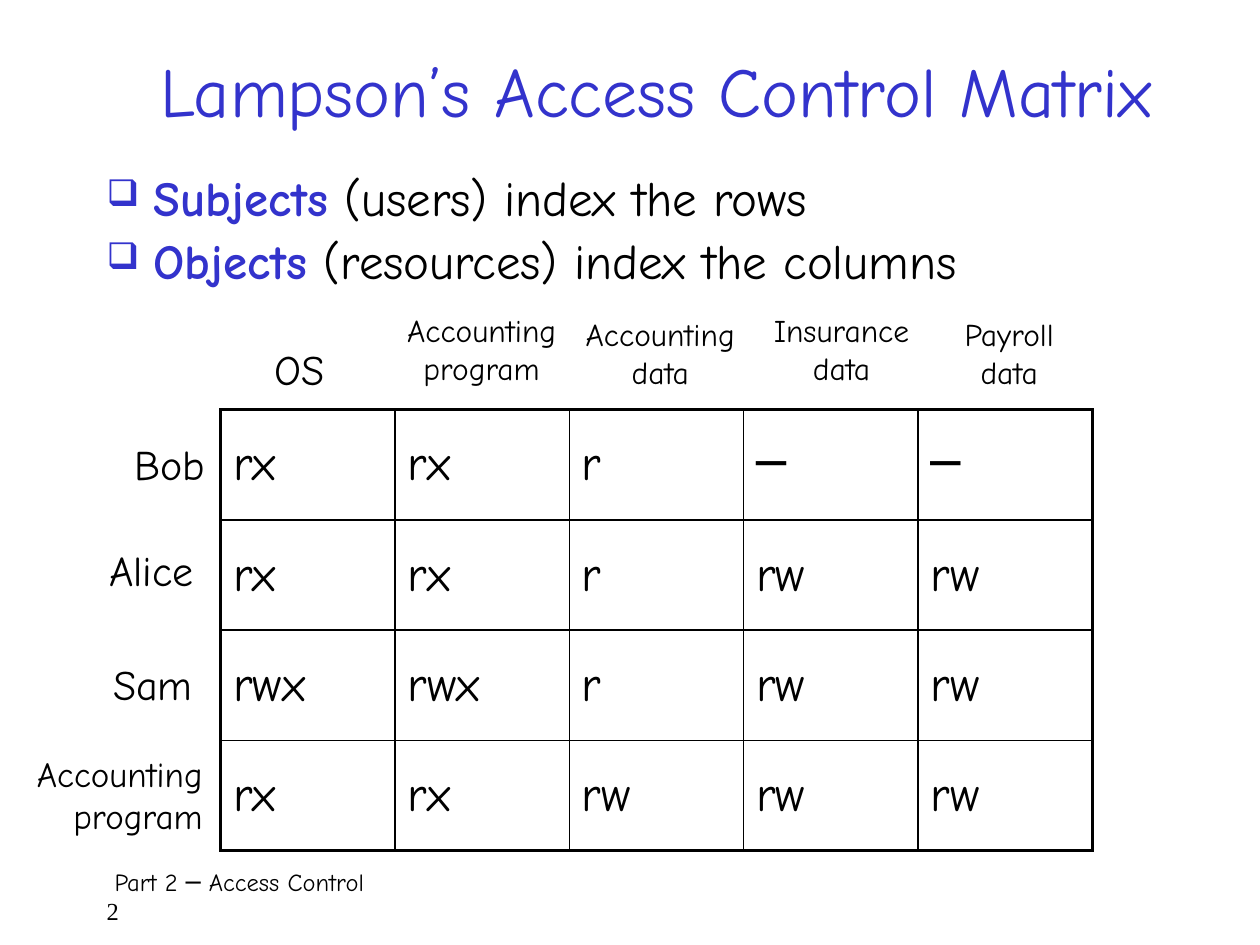
from lxml.etree import SubElement as Sub
from pptx import Presentation as Deck
from pptx.dml.color import RGBColor as Rgb
from pptx.enum.text import MSO_ANCHOR as Anchor, PP_ALIGN as Align
from pptx.oxml.ns import qn
from pptx.util import Cm, Pt

FONT = "Comic Neue"
BLACK = "000000"
BLUE = "3333CC"


def paint(font, size, color=BLACK, face=FONT):
    font.size = Pt(size)
    font.name = face
    font.color.rgb = Rgb.from_string(color)


class Page:
    def __init__(self, deck):
        self.slide = deck.slides.add_slide(deck.slide_layouts[5])

    def title(self, text, box):
        shape = self.slide.shapes.title
        shape.left, shape.top, shape.width, shape.height = map(Cm, box)
        frame = shape.text_frame
        frame.text = text
        frame.vertical_anchor = Anchor.MIDDLE
        frame.paragraphs[0].alignment = Align.CENTER
        paint(frame.paragraphs[0].font, 40, BLUE)

    def frame(self, box, wrap=True):
        frame = self.slide.shapes.add_textbox(*map(Cm, box)).text_frame
        frame.word_wrap = wrap
        return frame

    def label(self, text, box, size, align=Align.LEFT):
        frame = self.frame(box, False)
        frame.text = text
        for para in frame.paragraphs:
            para.alignment = align
            paint(para.font, size)

    def points(self, items, box):
        frame = self.frame(box)
        for i, (term, rest) in enumerate(items):
            para = frame.add_paragraph() if i else frame.paragraphs[0]
            self.bullet(para)
            para.line_spacing = 0.9
            para.space_before = Pt(5.6 if i else 0)
            for text, color, bold in ((term, BLUE, True), (rest, BLACK, False)):
                run = para.add_run()
                run.text = text
                run.font.bold = bold
                paint(run.font, 28, color)

    def bullet(self, para):
        props = para._p.get_or_add_pPr()
        props.set("marL", str(Cm(0.95)))
        props.set("indent", str(Cm(-0.95)))
        Sub(Sub(props, qn("a:buClr")), qn("a:srgbClr"), val=BLUE)
        Sub(props, qn("a:buSzPct"), val="75000")
        Sub(props, qn("a:buChar"), char="❑")

    def grid(self, rows, box):
        high, wide = len(rows), len(rows[0])
        table = self.slide.shapes.add_table(high, wide, *map(Cm, box)).table
        table.first_row = table.horz_banding = False
        for r, row in enumerate(rows):
            for c, text in enumerate(row):
                cell = table.cell(r, c)
                cell.text = text
                cell.vertical_anchor = Anchor.MIDDLE
                paint(cell.text_frame.paragraphs[0].font, 28)
                outer = {"L": c == 0, "R": c == wide - 1,
                         "T": r == 0, "B": r == high - 1}
                self.border(cell, outer)
                cell.fill.background()

    def border(self, cell, outer):
        props = cell._tc.get_or_add_tcPr()
        for side, edge in outer.items():
            line = Sub(props, qn(f"a:ln{side}"), w=str(Pt(2.25 if edge else 1)))
            Sub(Sub(line, qn("a:solidFill")), qn("a:srgbClr"), val=BLACK)

    def footer(self, text, number, box):
        frame = self.frame(box)
        frame.text = f"{text}\n{number}"
        first, last = frame.paragraphs
        first._p.get_or_add_pPr().set("indent", str(Cm(0.16)))
        paint(first.font, 14)
        paint(last.font, 14, face="Times New Roman")


def main():
    deck = Deck()
    deck.slide_width, deck.slide_height = Cm(25.4), Cm(19.05)
    page = Page(deck)
    page.title("Lampson’s Access Control Matrix", (0.84, 0.64, 24.76, 2.33))
    page.points([("Subjects", " (users) index the rows"),
                 ("Objects", " (resources) index the columns")],
                (1.9, 3.39, 22.23, 2.75))
    page.grid([["rx", "rx", "r", "─", "─"],
               ["rx", "rx", "r", "rw", "rw"],
               ["rwx", "rwx", "r", "rw", "rw"],
               ["rx", "rx", "rw", "rw", "rw"]],
              (4.45, 8.26, 17.57, 8.89))

    page.label("OS", (5.29, 6.8, 1.78, 1.45), 24)
    for text, left, top, width in (
            ("Accounting\nprogram", 7.83, 6.14, 3.76),
            ("Accounting\ndata", 11.43, 6.22, 3.76),
            ("Insurance\ndata", 15.24, 6.14, 3.45),
            ("Payroll\ndata", 19.1, 6.22, 2.49)):
        page.label(text, (left, top, width, 2.03), 18, Align.CENTER)

    for text, left, top, width in (("Bob", 2.46, 8.72, 1.98),
                                   ("Alice", 1.95, 10.85, 2.49),
                                   ("Sam", 2.03, 13.16, 2.18)):
        page.label(text, (left, top, width, 1.45), 24)
    page.label("Accounting\nprogram", (0.2, 15.04, 4.14, 2.24), 20, Align.RIGHT)

    page.footer("Part 2 ─ Access Control", 2, (1.9, 17.35, 21.8, 1.27))
    deck.save("out.pptx")


if __name__ == "__main__":
    main()
